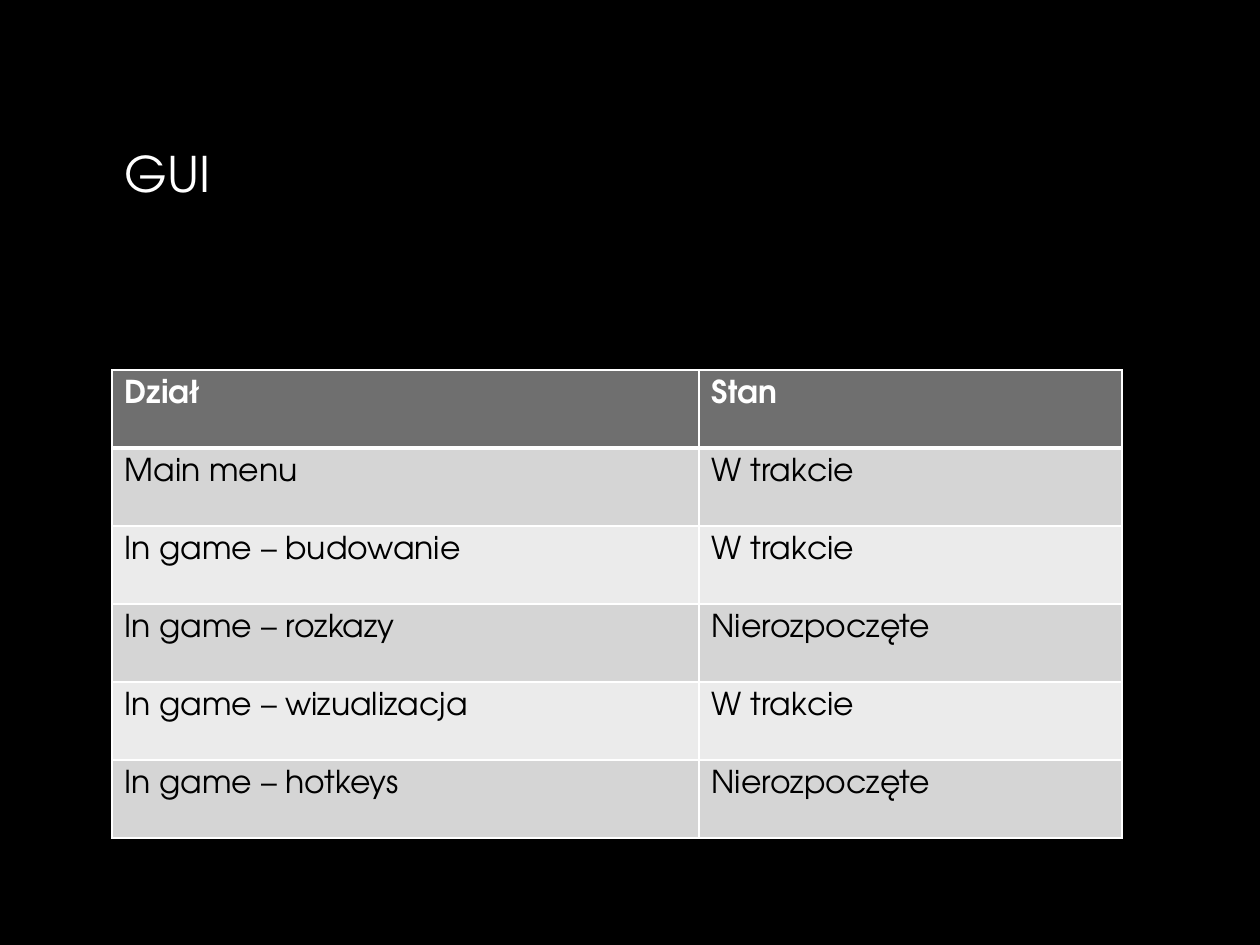
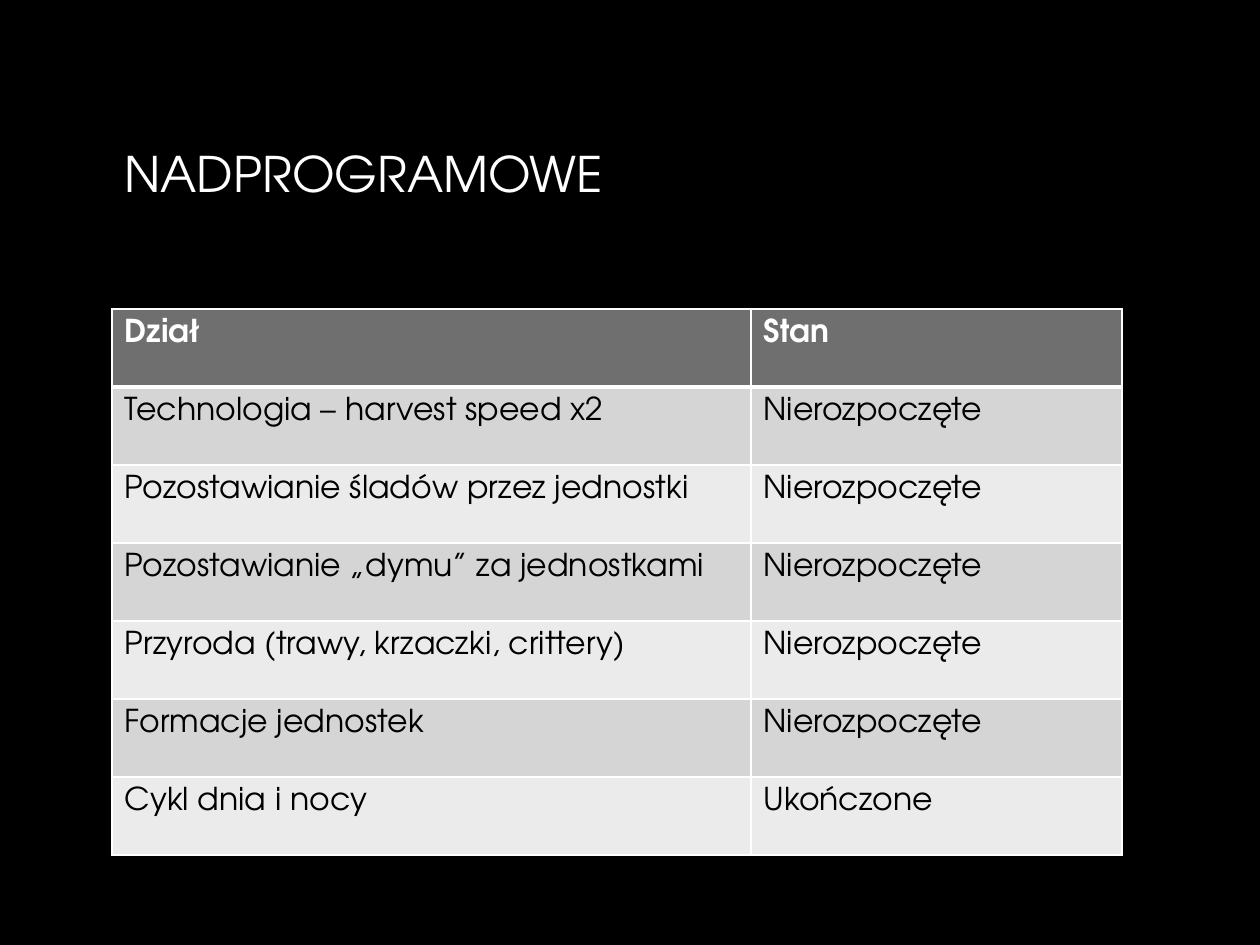
"""Builds two project status slides, each with a title and a table."""
from lxml import etree
from pptx import Presentation
from pptx import util as u
from pptx.dml.color import RGBColor
from pptx.enum import text
from pptx.oxml import ns

SCALE = 914400 / 126
FONT = "TeX Gyre Adventor"
BLACK = RGBColor(0x00, 0x00, 0x00)
WHITE = RGBColor(0xFF, 0xFF, 0xFF)
SILVER = RGBColor(0xBF, 0xBF, 0xBF)
HEADER_GRAY = RGBColor(0x6F, 0x6F, 0x6F)
BANDS = (RGBColor(0xD5, 0xD5, 0xD5), RGBColor(0xEB, 0xEB, 0xEB))

TABLE_LEFT = 112
TABLE_WIDTH = 1010
ROW_HEIGHT = 78
HEADINGS = ("Dział", "Stan")
WAITING = "Nierozpoczęte"
ONGOING = "W trakcie"
DONE = "Ukończone"

GUI_TASKS = (
    ("Main menu", ONGOING),
    ("In game – budowanie", ONGOING),
    ("In game – rozkazy", WAITING),
    ("In game – wizualizacja", ONGOING),
    ("In game – hotkeys", WAITING),
)
EXTRA_TASKS = (
    ("Technologia – harvest speed x2", WAITING),
    ("Pozostawianie śladów przez jednostki", WAITING),
    ("Pozostawianie „dymu” za jednostkami", WAITING),
    ("Przyroda (trawy, krzaczki, crittery)", WAITING),
    ("Formacje jednostek", WAITING),
    ("Cykl dnia i nocy", DONE),
)


def px(pixels):
    """Turn picture pixels into EMU."""
    return u.Emu(round(pixels * SCALE))


def write(frame, words, size=18, color=None, bold=False, line=None):
    """Put left-aligned words into a text frame and return the span."""
    para = frame.paragraphs[0]
    para.alignment = text.PP_ALIGN.LEFT
    if line:
        para.line_spacing = u.Pt(line)
    span = para.add_run()
    span.text = words
    span.font.name = FONT
    span.font.size = u.Pt(size)
    span.font.bold = bold
    if color is not None:
        span.font.color.rgb = color
    return span


def add_title(page, words):
    """Place the title and shade it from white to silver."""
    box = page.shapes.title
    box.left, box.top, box.width, box.height = map(px, (112, 82, 1034, 181))
    box.text_frame.word_wrap = True
    box.text_frame.vertical_anchor = text.MSO_ANCHOR.MIDDLE
    fill = write(box.text_frame, words, size=28).font.fill
    fill.gradient()
    fill.gradient_angle = 270
    for stop, color in zip(fill.gradient_stops, (WHITE, SILVER)):
        stop.color.rgb = color


def set_borders(cell, **widths):
    """Draw white cell borders with the given widths in points."""
    properties = cell._tc.get_or_add_tcPr()
    for index, side in enumerate("LRTB"):
        border = etree.Element(ns.qn(f"a:ln{side}"), w=str(u.Pt(widths.get(side, 1))))
        fill = etree.SubElement(border, ns.qn("a:solidFill"))
        etree.SubElement(fill, ns.qn("a:srgbClr"), val=str(WHITE))
        properties.insert(index, border)


def format_cell(cell, words, row):
    """Fill one cell in the style of its row."""
    header = row == 0
    cell.fill.solid()
    cell.fill.fore_color.rgb = HEADER_GRAY if header else BANDS[(row - 1) % 2]
    cell.vertical_anchor = text.MSO_ANCHOR.TOP
    write(cell.text_frame, words, color=WHITE if header else BLACK, bold=header, line=19)
    set_borders(cell, B=3 if header else 1, T=3 if row == 1 else 1)


def add_status_table(page, top, first_width, tasks):
    """Add the table of tasks and their states."""
    rows = (HEADINGS, *tasks)
    table = page.shapes.add_table(
        len(rows), len(HEADINGS), px(TABLE_LEFT), px(top),
        px(TABLE_WIDTH), px(ROW_HEIGHT * len(rows))).table
    table.horz_banding = False
    for column, width in zip(table.columns, (first_width, TABLE_WIDTH - first_width)):
        column.width = px(width)
    for row, values in enumerate(rows):
        table.rows[row].height = px(ROW_HEIGHT)
        for column, words in enumerate(values):
            format_cell(table.cell(row, column), words, row)


def add_page(deck, title, top, first_width, tasks):
    """Add one status slide."""
    page = deck.slides.add_slide(deck.slide_layouts[5])
    add_title(page, title)
    add_status_table(page, top, first_width, tasks)


def main():
    """Build and save the deck."""
    deck = Presentation()
    deck.slide_width, deck.slide_height = px(1260), px(945)
    background = deck.slide_master.background.fill
    background.solid()
    background.fore_color.rgb = BLACK
    add_page(deck, "GUI", 370, 587, GUI_TASKS)
    add_page(deck, "NADPROGRAMOWE", 309, 639, EXTRA_TASKS)
    deck.save("out.pptx")


main()
